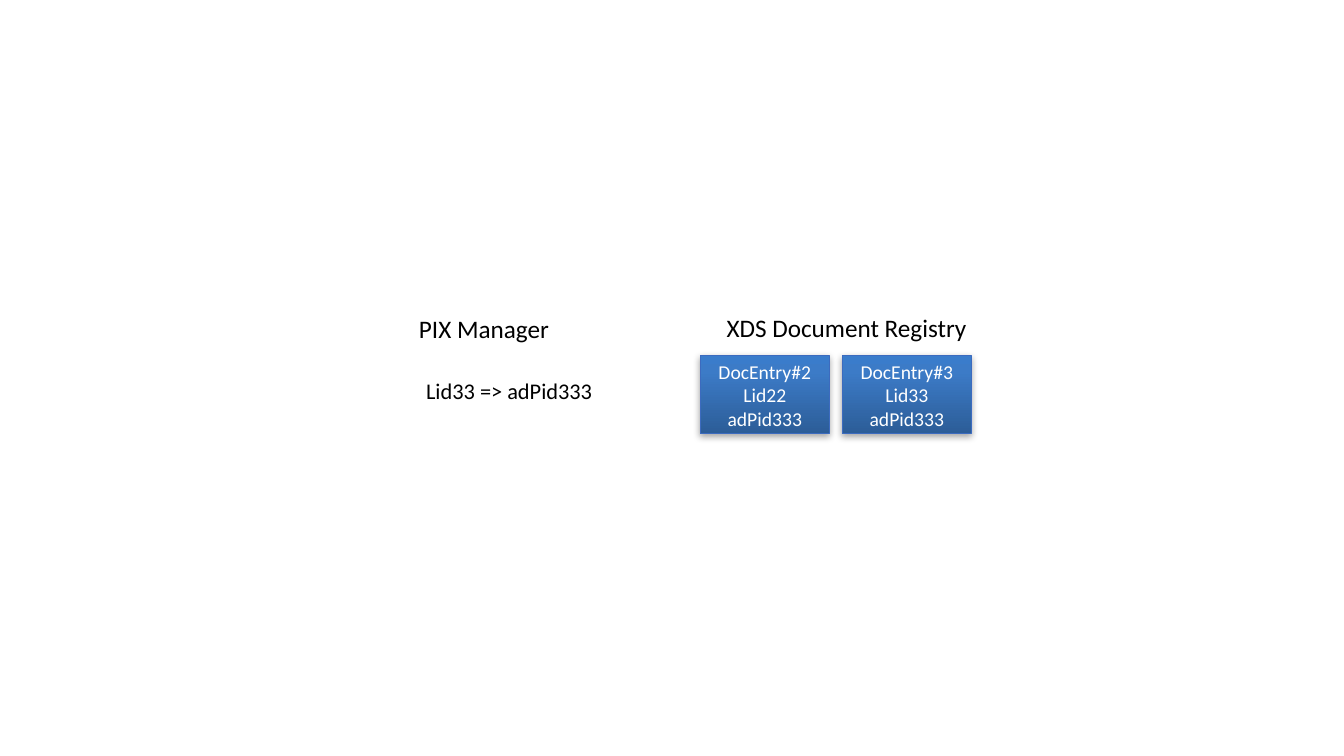
from lxml import etree
from pptx import Presentation
from pptx.dml.color import RGBColor
from pptx.enum import shapes, text
from pptx.oxml.ns import qn
from pptx.util import Cm, Pt

# text, left, top, width, height, size, top inset, wrap (lengths in cm)
LABELS = [
    ("PIX Manager", 10.31, 7.77, 3.78, 1.02, 18, 0.13, False),
    ("XDS Document Registry", 18.06, 7.75, 6.55, 1.02, 18, 0.13, False),
    ("Lid33 => adPid333", 10.49, 8.69, 5.38, 1.4, 16, 0.81, True),
]
ENTRIES = [
    ("DocEntry#2", "Lid22", "adPid333"),
    ("DocEntry#3", "Lid33", "adPid333"),
]
LEFT, TOP, WIDTH, HEIGHT, GAP = 17.65, 8.97, 3.25, 1.96, 0.33
STOPS = [(0, "2C5D98"), (80, "3C7BC7"), (100, "3A7CCB")]


def color(code):
    return RGBColor.from_string(code)


def write(shape, lines, size, tint="000000", align=text.PP_ALIGN.LEFT,
          anchor=text.MSO_ANCHOR.TOP, inset=0.13, wrap=True):
    frame = shape.text_frame
    frame.word_wrap = wrap
    frame.vertical_anchor = anchor
    frame.margin_top = Cm(inset)
    frame.text = "\n".join(lines)
    for para in frame.paragraphs:
        para.alignment = align
        para.font.name = "Calibri"
        para.font.size = Pt(size)
        para.font.color.rgb = color(tint)


def add_color(parent, code):
    return etree.SubElement(parent, qn("a:srgbClr"), val=code)


def shade(shape):
    """Fill the shape with the upward gradient."""
    shape.fill.gradient()
    shape.fill.gradient_angle = 90
    stops = shape.element.spPr.find(".//" + qn("a:gsLst"))
    for stop in list(stops):
        stops.remove(stop)
    for pos, code in STOPS:
        stop = etree.SubElement(stops, qn("a:gs"), pos=str(pos * 1000))
        add_color(stop, code)


def drop(shape):
    """Give the shape a soft shadow below it."""
    shape.shadow.inherit = False
    effects = shape.element.spPr.find(qn("a:effectLst"))
    outer = etree.SubElement(
        effects, qn("a:outerShdw"), blurRad=str(Pt(5)), dist=str(Pt(1.8)),
        dir="5400000", rotWithShape="0")
    etree.SubElement(add_color(outer, "000000"), qn("a:alpha"), val="35000")


def main():
    deck = Presentation()
    deck.slide_width, deck.slide_height = Cm(33.87), Cm(19.05)
    slide = deck.slides.add_slide(deck.slide_layouts[6])

    for label, x, y, w, h, size, inset, wrap in LABELS:
        box = slide.shapes.add_textbox(Cm(x), Cm(y), Cm(w), Cm(h))
        write(box, [label], size, inset=inset, wrap=wrap)

    for i, lines in enumerate(ENTRIES):
        card = slide.shapes.add_shape(
            shapes.MSO_SHAPE.RECTANGLE, Cm(LEFT + i * (WIDTH + GAP)), Cm(TOP),
            Cm(WIDTH), Cm(HEIGHT))
        shade(card)
        card.line.color.rgb = color("3C6BBF")
        card.line.width = Pt(0.75)
        drop(card)
        write(card, lines, 14, tint="FFFFFF", align=text.PP_ALIGN.CENTER,
              anchor=text.MSO_ANCHOR.MIDDLE)

    deck.save("out.pptx")


if __name__ == "__main__":
    main()
